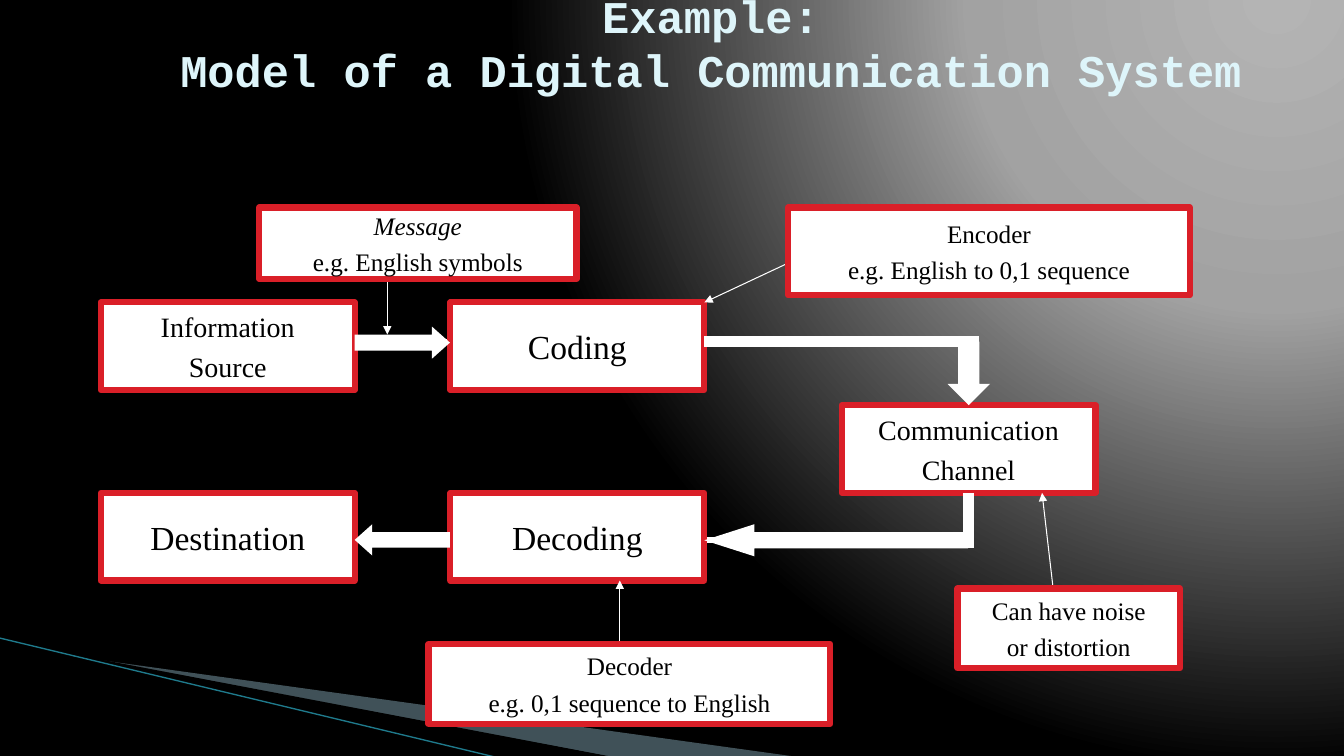
from lxml import etree
from pptx import Presentation
from pptx.dml.color import RGBColor
from pptx.enum.shapes import MSO_CONNECTOR, MSO_SHAPE
from pptx.enum.text import MSO_ANCHOR, MSO_AUTO_SIZE, PP_ALIGN
from pptx.oxml import parse_xml
from pptx.oxml.ns import nsdecls, qn
from pptx.util import Cm, Pt

STRAIGHT = MSO_CONNECTOR.STRAIGHT
RECTANGLE = MSO_SHAPE.RECTANGLE
RIGHT_ARROW = MSO_SHAPE.RIGHT_ARROW
LEFT_ARROW = MSO_SHAPE.LEFT_ARROW
DOWN_ARROW = MSO_SHAPE.DOWN_ARROW
CENTER = PP_ALIGN.CENTER
MIDDLE = MSO_ANCHOR.MIDDLE
NO_AUTOFIT = MSO_AUTO_SIZE.NONE

SLIDE_W, SLIDE_H = 33.87, 19.05
WHITE, BLACK, RED = "FFFFFF", "000000", "DA1F28"
PALE_BLUE, TEAL, TITLE_BLUE = "A0CBDC", "1F7A8C", "DEF5FA"
GRADIENT = [(0, "B4B4B4"), (40, "A2A2A2"), (100, BLACK)]

# Stage grid, in cm from the top left of the diagram
STAGE_W, STAGE_H = 6.4, 2.21
SOURCE_X, CODER_X, CHANNEL_X = 0, 8.81, 18.67
SEND_Y, CHANNEL_Y, RECEIVE_Y = 2.39, 4.98, 7.19
SEND_FLOW_Y, RECEIVE_FLOW_Y = 3.38, 8.38
CHANNEL_MID = CHANNEL_X + STAGE_W / 2
SOURCE_END, CODER_END = SOURCE_X + STAGE_W, CODER_X + STAGE_W

STAGES = [
    (SOURCE_X, RECEIVE_Y, 24, ["Destination"]),
    (CODER_X, RECEIVE_Y, 24, ["Decoding"]),
    (CHANNEL_X, CHANNEL_Y, 20, ["Communication", "Channel"]),
    (CODER_X, SEND_Y, 24, ["Coding"]),
    (SOURCE_X, SEND_Y, 20, ["Information", "Source"]),
]
# Box of each note, its lines, and the pointer from it to what it explains
NOTES = [
    ((3.99, 0, 8, 1.8), ["Message", "e.g. English symbols"], (7.22, 1.78, 7.22, 3.2)),
    ((17.32, 0, 10.13, 2.21), ["Encoder", "e.g. English to 0,1 sequence"],
     (17.32, 1.4, CODER_END, SEND_Y)),
    ((21.59, 9.6, 5.61, 2.01), ["Can have noise", "or distortion"],
     (24, 9.6, 23.72, RECEIVE_Y)),
    ((8.26, 11, 10.13, 2.01), ["Decoder", "e.g. 0,1 sequence to English"],
     (13.08, 11, 13.08, RECEIVE_Y + STAGE_H)),
]
BLOCK_ARROWS = [
    (RIGHT_ARROW, (SOURCE_END, 3, 2.4, 0.81), 0.56),
    (LEFT_ARROW, (CODER_END, 7.98, 6.65, 0.81), 1.56),
    (DOWN_ARROW, (CHANNEL_MID - 0.53, SEND_FLOW_Y, 1.07, 1.6), 0.5),
    (LEFT_ARROW, (SOURCE_END, 7.98, 2.4, 0.79), 0.56),
]


def color(hex_string):
    return RGBColor.from_string(hex_string)


def paint_background(slide):
    stops = "".join(f'<a:gs pos="{pos * 1000}"><a:srgbClr val="{tone}"/></a:gs>'
                    for pos, tone in GRADIENT)
    slide.element.cSld.insert(0, parse_xml(
        f'<p:bg {nsdecls("p", "a")}><p:bgPr><a:gradFill><a:gsLst>{stops}</a:gsLst>'
        '<a:path path="circle">'
        '<a:fillToRect l="95000" t="-106000" r="5000" b="206000"/></a:path>'
        '</a:gradFill><a:effectLst/></p:bgPr></p:bg>'))


def add_line(slide, origin, ends, tone, width, arrow=False):
    left, top = origin
    x1, y1, x2, y2 = ends
    line = slide.shapes.add_connector(STRAIGHT, Cm(left + x1), Cm(top + y1),
                                      Cm(left + x2), Cm(top + y2))
    line.line.color.rgb = color(tone)
    line.line.width = Pt(width)
    if arrow:
        etree.SubElement(line.line._get_or_add_ln(), qn("a:tailEnd"), type="triangle")
    etree.SubElement(line._element.spPr, qn("a:effectLst"))


def add_filled(slide, kind, origin, box):
    left, top = origin
    x, y, width, height = box
    shape = slide.shapes.add_shape(kind, Cm(left + x), Cm(top + y), Cm(width), Cm(height))
    shape.shadow.inherit = False
    shape.fill.solid()
    shape.fill.fore_color.rgb = color(WHITE)
    shape.line.fill.background()
    return shape


def add_label_box(slide, origin, box, lines, size, italic_first=False):
    shape = add_filled(slide, RECTANGLE, origin, box)
    shape.line.color.rgb = color(RED)
    shape.line.width = Pt(4.33)
    frame = shape.text_frame
    frame.word_wrap = False
    frame.vertical_anchor = MIDDLE
    frame.text = "\n".join(lines)
    for index, paragraph in enumerate(frame.paragraphs):
        paragraph.alignment = CENTER
        if index:
            paragraph.space_before = Pt(round(size * 0.24, 1))
        font = paragraph.font
        font.name, font.size = "Times New Roman", Pt(size)
        font.color.rgb = color(BLACK)
        font.italic = italic_first and index == 0


def add_swoosh(slide, left, top):
    """Draw the corner wedge, its black cover and the edge line."""
    wedges = [
        ([(1.85, 0.46), (20.14, 3), (15.44, 3), (1.85, 0.43)], PALE_BLUE, 40),
        ([(1.8, 0.4), (15.47, 3), (12.6, 3.02), (1.83, 0.43)], BLACK, 100),
    ]
    for points, tone, opacity in wedges:
        corners = [(Cm(left + x), Cm(top + y)) for x, y in points]
        builder = slide.shapes.build_freeform(*corners[0])
        builder.add_line_segments(corners[1:], close=True)
        wedge = builder.convert_to_shape()
        wedge.shadow.inherit = False
        wedge.fill.solid()
        wedge.fill.fore_color.rgb = color(tone)
        wedge.line.fill.background()
        if opacity < 100:
            fill = wedge._element.spPr.find(qn("a:solidFill"))
            etree.SubElement(fill[0], qn("a:alpha"), val=str(opacity * 1000))
    add_line(slide, (left, top), (0, 0, 12.57, 3.02), TEAL, 0.95)


def set_title(slide, left, top, width, height):
    title = slide.shapes.title
    title.left, title.top, title.width, title.height = map(Cm, (left, top, width, height))
    frame = title.text_frame
    frame.word_wrap = True
    frame.auto_size = NO_AUTOFIT
    frame.vertical_anchor = MIDDLE
    paragraph = frame.paragraphs[0]
    paragraph.text = "Example:\vModel of a Digital Communication System"
    paragraph.alignment = CENTER
    font = paragraph.font
    font.name, font.size, font.bold = "Courier New", Pt(32.4), True
    font.color.rgb = color(TITLE_BLUE)


def add_diagram(slide, left, top):
    origin = (left, top)

    def flow(x1, y1, x2, y2, width=4, arrow=False):
        add_line(slide, origin, (x1, y1, x2, y2), WHITE, width, arrow)

    flow(CHANNEL_MID, RECEIVE_FLOW_Y, SOURCE_END, RECEIVE_FLOW_Y, arrow=True)
    flow(SOURCE_END, SEND_FLOW_Y, CHANNEL_MID, SEND_FLOW_Y)
    for x, y, size, lines in STAGES:
        add_label_box(slide, origin, (x, y, STAGE_W, STAGE_H), lines, size)
    flow(CHANNEL_MID, RECEIVE_Y, CHANNEL_MID, RECEIVE_FLOW_Y)
    for _, _, pointer in NOTES:
        flow(*pointer, width=0.75, arrow=True)
    for box, lines, _ in NOTES:
        add_label_box(slide, origin, box, lines, 18, italic_first=lines[0] == "Message")
    flow(CHANNEL_MID, SEND_FLOW_Y, CHANNEL_MID, CHANNEL_Y, arrow=True)
    flow(CHANNEL_MID, RECEIVE_Y, CHANNEL_MID, RECEIVE_FLOW_Y + 0.2, width=8)
    flow(CODER_END, SEND_FLOW_Y, CHANNEL_MID + 0.27, SEND_FLOW_Y, width=8)
    for kind, box, head_length in BLOCK_ARROWS:
        block = add_filled(slide, kind, origin, box)
        block.adjustments[0] = 0.5
        block.adjustments[1] = head_length


def main():
    deck = Presentation()
    deck.slide_width, deck.slide_height = Cm(SLIDE_W), Cm(SLIDE_H)
    slide = deck.slides.add_slide(deck.slide_layouts[5])
    paint_background(slide)
    add_swoosh(slide, 0, 16.08)
    set_title(slide, 3.63, 0, 28.58, 2.13)
    add_diagram(slide, 2.54, 5.23)
    deck.save("out.pptx")


if __name__ == "__main__":
    main()
